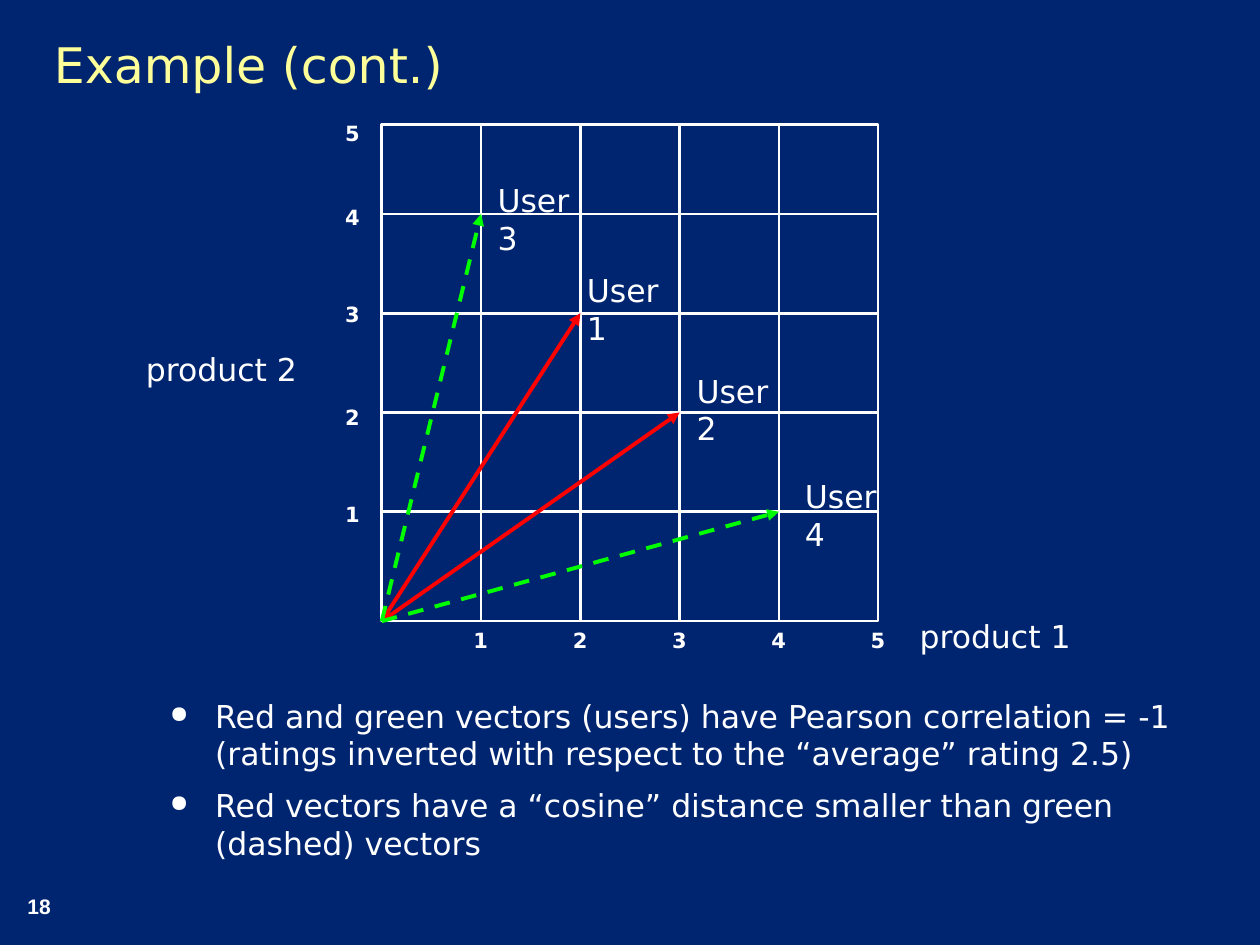
"""Build a slide that plots four users' ratings as vectors on a grid."""
from lxml.etree import SubElement
from pptx import Presentation
from pptx.dml.color import RGBColor
from pptx.enum.dml import MSO_LINE_DASH_STYLE as Dash
from pptx.enum.shapes import MSO_CONNECTOR as Conn, MSO_SHAPE as Shape
from pptx.enum.text import MSO_ANCHOR as Anchor
from pptx.oxml.ns import qn
from pptx.util import Inches, Pt

NAVY, WHITE, YELLOW, RED, GREEN = "002570", "FFFFFF", "FFFF99", "FF0000", "00FF00"
SANS = "DejaVu Sans"

TITLE = "Example (cont.)"
POINTS = [
    "Red and green vectors (users) have Pearson correlation = -1 "
    "(ratings inverted with respect to the “average” rating 2.5)",
    "Red vectors have a “cosine” distance smaller than green (dashed) vectors",
]
USERS = [
    ("User 2", (3, 2), RED, (5.43, 2.9)),
    ("User 1", (2, 3), RED, (4.56, 2.1)),
    ("User 4", (4, 1), GREEN, (6.29, 3.74)),
    ("User 3", (1, 4), GREEN, (3.85, 1.39)),
]
AXES = [("product 1", (7.2, 4.85)), ("product 2", (1.06, 2.73))]
TICKS = ["1", "2", "3", "4", "5"]
GAPS = [0, 33.5, 41, 44.5, 41]

LEFT, TOP, SIDE = 3.03, 0.99, 3.94
RIGHT, BASE = LEFT + SIDE, TOP + SIDE
STEP = SIDE / len(TICKS)
ROW = 4.85


def color(code):
    return RGBColor.from_string(code)


def col_x(n):
    return LEFT + STEP * n


def row_y(n):
    return ROW - STEP * n


def add_text(slide, lines, box, size=18, tint=WHITE, face=SANS, bold=False, anchor=Anchor.TOP):
    frame = slide.shapes.add_textbox(*map(Inches, box)).text_frame
    frame.word_wrap = True
    frame.vertical_anchor = anchor
    frame.text = "\n".join(lines)
    for para in frame.paragraphs:
        font = para.font
        font.size, font.name, font.bold = Pt(size), face, bold
        font.color.rgb = color(tint)
    return frame.paragraphs


def add_line(slide, start, end, tint=WHITE, width=1.5):
    link = slide.shapes.add_connector(Conn.STRAIGHT, *map(Inches, (*start, *end)))
    link.line.color.rgb = color(tint)
    link.line.width = Pt(width)
    SubElement(link.element.spPr, qn("a:effectLst"))
    return link


def add_arrow(slide, goal, tint):
    link = add_line(slide, (LEFT, BASE), (col_x(goal[0]), row_y(goal[1])), tint, 2.25)
    if tint == GREEN:
        link.line.dash_style = Dash.DASH
    SubElement(link.line._get_or_add_ln(), qn("a:tailEnd"), type="triangle")


def add_bullet(para):
    props = para._p.get_or_add_pPr()
    props.set("marL", str(Inches(0.36)))
    props.set("indent", str(Inches(-0.36)))
    tint = SubElement(props, qn("a:buClr"))
    SubElement(tint, qn("a:srgbClr"), val=WHITE)
    SubElement(props, qn("a:buSzPct"), val="75000")
    SubElement(props, qn("a:buChar"), char="●")


def add_tabs(para, stops):
    tabs = SubElement(para._p.get_or_add_pPr(), qn("a:tabLst"))
    for stop in stops:
        SubElement(tabs, qn("a:tab"), pos=str(Inches(stop)), algn="l")


def add_grid(slide):
    frame = slide.shapes.add_shape(Shape.RECTANGLE, *map(Inches, (LEFT, TOP, SIDE, SIDE)))
    frame.shadow.inherit = False
    frame.fill.background()
    frame.line.color.rgb = color(WHITE)
    frame.line.width = Pt(1.5)
    for n in range(1, len(TICKS)):
        add_line(slide, (col_x(n), TOP), (col_x(n), BASE))
        add_line(slide, (LEFT, row_y(n)), (RIGHT, row_y(n)))


def add_ticks(slide):
    across = add_text(slide, ["\t".join(TICKS)], (3.66, 4.93, 3.7, 0.3), 12, bold=True)
    add_tabs(across[0], [STEP * n for n in range(1, len(TICKS))])
    down = add_text(slide, TICKS[::-1], (2.64, 0.91, 0.39, 3.29), 12, bold=True)
    for para, gap in zip(down[1:], GAPS[1:]):
        para.space_before = Pt(gap)


def main():
    deck = Presentation()
    deck.slide_width, deck.slide_height = Inches(10), Inches(7.5)
    slide = deck.slides.add_slide(deck.slide_layouts[6])
    fill = slide.background.fill
    fill.solid()
    fill.fore_color.rgb = color(NAVY)

    add_text(slide, ["18"], (0.12, 7.04, 0.73, 0.3), 12, face="Arial", bold=True, anchor=Anchor.BOTTOM)
    title = add_text(slide, [TITLE], (0.33, 0.08, 8.6, 0.92), 28, YELLOW, anchor=Anchor.MIDDLE)
    title[0].line_spacing = 0.9
    points = add_text(slide, POINTS, (1.25, 5.48, 8.42, 1.5))
    for para in points:
        add_bullet(para)
    points[1].space_before = Pt(7.9)

    add_grid(slide)
    for _, goal, tint, _ in USERS:
        add_arrow(slide, goal, tint)
    add_ticks(slide)
    for name, spot in AXES:
        add_text(slide, [name], (*spot, 1.5, 0.4))
    for name, _, _, spot in USERS:
        add_text(slide, [name], (*spot, 0.95, 0.4))
    deck.save("out.pptx")


if __name__ == "__main__":
    main()
